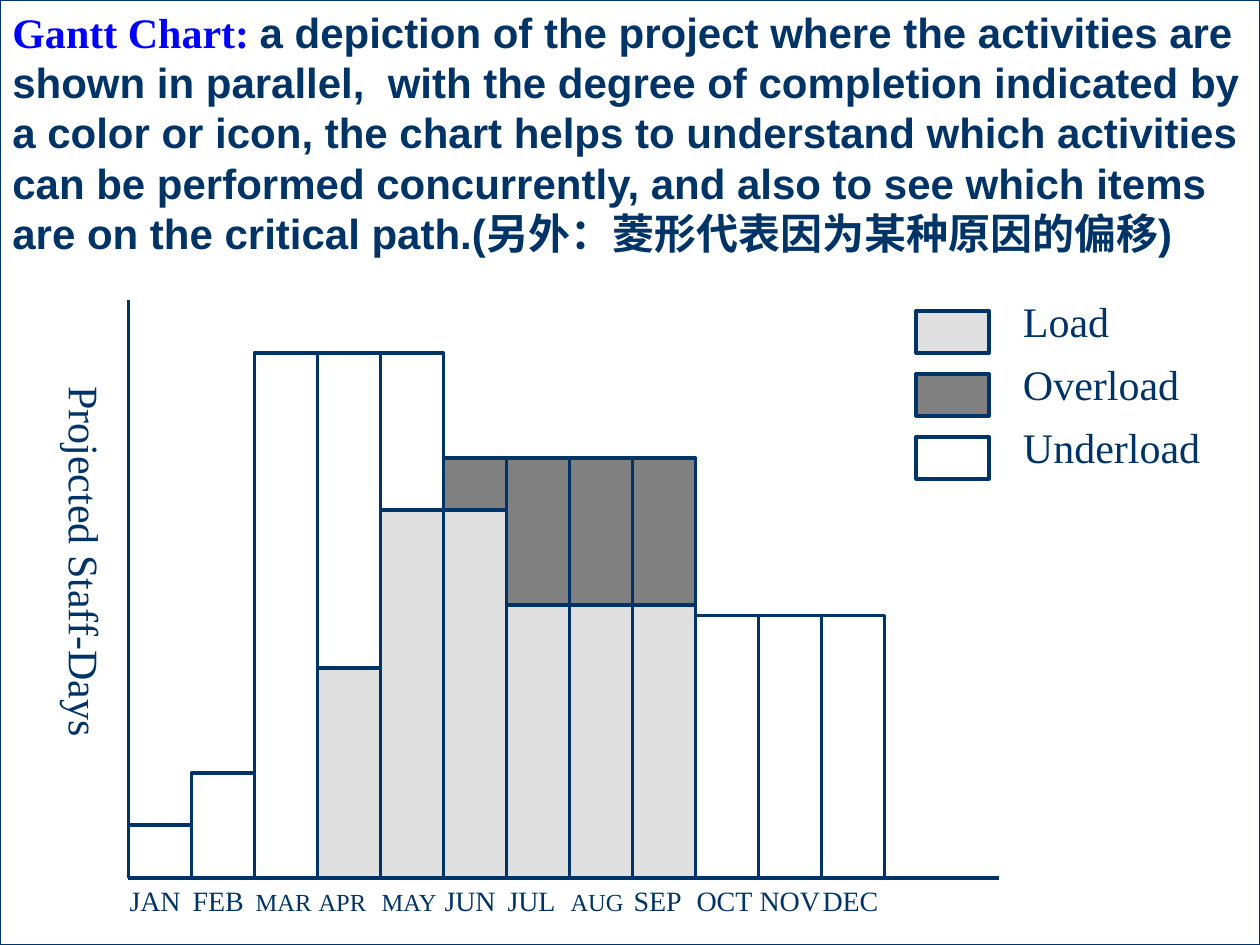
from pptx import Presentation
from pptx.dml.color import RGBColor
from pptx.enum.shapes import MSO_SHAPE as SHAPE, MSO_CONNECTOR as CONN
from pptx.util import Inches, Pt
from pptx.oxml.ns import qn
from lxml import etree

NAVY = RGBColor(0x00, 0x33, 0x66)
BLUE = RGBColor(0x00, 0x00, 0xFF)
WHITE = RGBColor(0xFF, 0xFF, 0xFF)
SILVER = RGBColor(0xC0, 0xC0, 0xC0)
GRAY = RGBColor(0x80, 0x80, 0x80)
SERIF, SANS = "Times New Roman", "Arial"

prs = Presentation()
prs.slide_width, prs.slide_height = Inches(10), Inches(7.5)
s = prs.slides.add_slide(prs.slide_layouts[6])
COL, ROW = prs.slide_width / 20, prs.slide_height / 90
LEFT, BASE = 2.04, 83.6


def add_box(x, y, w, h, fill=None, line=2):
    sp = s.shapes.add_shape(SHAPE.RECTANGLE, int(x * COL), int(y * ROW), int(w * COL), int(h * ROW))
    sp.shadow.inherit = False
    sp.line.color.rgb, sp.line.width = NAVY, Pt(line)
    if fill is None:
        sp.fill.background()
    else:
        sp.fill.solid()
        sp.fill.fore_color.rgb = fill
        if fill == SILVER:
            clr = sp.fill._xPr.find(qn("a:solidFill"))[0]
            etree.SubElement(clr, qn("a:alpha"), val="50000")


def add_text(x, y, w, h, runs):
    sp = s.shapes.add_textbox(int(x * COL), int(y * ROW), int(w * COL), int(h * ROW))
    tf = sp.text_frame
    tf.word_wrap = True
    p = tf.paragraphs[0]
    for text, color, fmt in runs:
        r = p.add_run()
        r.text = text
        r.font.color.rgb = color
        for name, value in fmt.items():
            setattr(r.font, name, value)
    return tf


label_fmt = {"name": SERIF, "size": Pt(24)}

add_box(0, 0, 20, 90, WHITE, 0.75)

for x, y in [(LEFT, 28.6), (15.86, BASE)]:
    ln = s.shapes.add_connector(CONN.STRAIGHT, int(LEFT * COL), int(BASE * ROW), int(x * COL), int(y * ROW))
    ln.line.color.rgb, ln.line.width = NAVY, Pt(2)
    etree.SubElement(ln._element.spPr, qn("a:effectLst"))

months = [
    ("JAN", 16, 5, 0, 0), ("FEB", 16, 10, 0, 0), ("MAR", 14, 50, 0, 0),
    ("APR", 14, 50, 20, 0), ("MAY", 14, 50, 35, 0), ("JUN", 16, 0, 35, 5),
    ("JUL", 16, 0, 26, 14), ("AUG", 14, 0, 26, 14), ("SEP", 16, 0, 26, 14),
    ("OCT", 16, 25, 0, 0), ("NOV", 16, 25, 0, 0), ("DEC", 16, 25, 0, 0),
]
month_runs = []
for i, (month, size, capacity, load, overload) in enumerate(months):
    for bottom, height, fill in [(0, capacity, None), (load, overload, GRAY), (0, load, SILVER)]:
        if height:
            add_box(LEFT + i, BASE - bottom - height, 1, height, fill)
    text = month if i == 0 else "\t" + month
    month_runs.append((text, NAVY, {"name": SERIF, "size": Pt(size)}))

tf = add_text(1.86, BASE, 13, 4.4, month_runs)
tabs = etree.SubElement(tf.paragraphs[0]._p.get_or_add_pPr(), qn("a:tabLst"))
for i in range(1, len(months)):
    etree.SubElement(tabs, qn("a:tab"), pos=str(int(i * COL)), algn="l")

legend = [("Load", SILVER), ("Overload", GRAY), ("Underload", None)]
for i, (name, fill) in enumerate(legend):
    add_box(14.54, 29.6 + 6 * i, 1.16, 4, fill)
    add_text(16.04, 27.6 + 6 * i, 3.84, 6, [(name, NAVY, label_fmt)])

tf = add_text(0.66, 35.6, 1.2, 36, [("Projected Staff-Days", NAVY, label_fmt)])
tf._txBody.bodyPr.set("vert", "eaVert")

definition = (
    "a depiction of the project where the activities are shown in parallel,  with the degree of "
    "completion indicated by a color or icon, the chart helps to understand which activities can be "
    "performed concurrently, and also to see which items are on the critical path."
    "(另外：菱形代表因为某种原因的偏移)"
)
add_text(0, 0, 20, 25.4, [
    ("Gantt Chart: ", BLUE, {"name": SERIF, "size": Pt(24), "bold": True}),
    (definition, NAVY, {"name": SANS, "size": Pt(24), "bold": True}),
])

prs.save("out.pptx")
